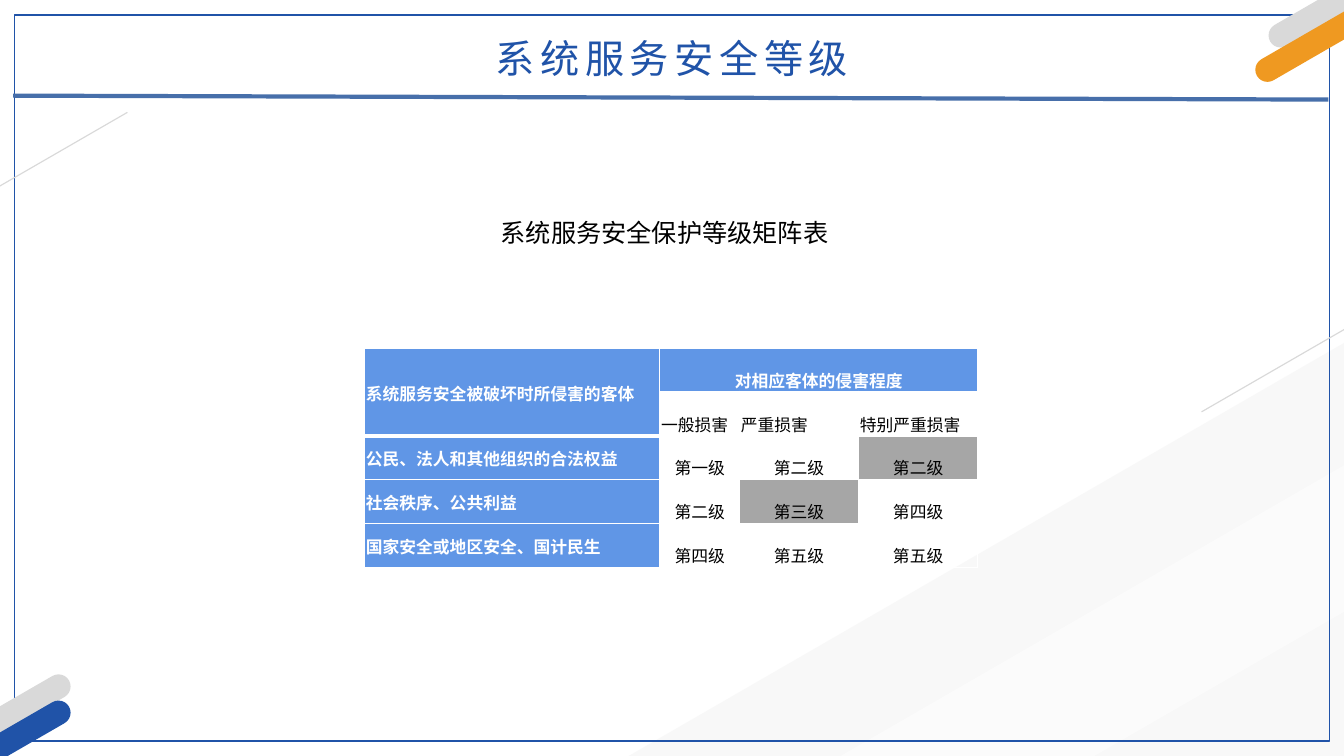
"""Build the slide with the security level matrix for system services."""
import lxml.etree
import pptx
import pptx.dml.color
import pptx.enum.shapes
import pptx.enum.text
import pptx.oxml.ns
import pptx.util

Cm = pptx.util.Cm
Pt = pptx.util.Pt
qn = pptx.oxml.ns.qn
Align = pptx.enum.text.PP_ALIGN
Anchor = pptx.enum.text.MSO_ANCHOR
Preset = pptx.enum.shapes.MSO_SHAPE

WHITE, BLACK, BLUE = "FFFFFF", "000000", "2053A8"
LIGHT_GREY, HEADER_BLUE, HIGHLIGHT = "D9D9D9", "6096E6", "A6A6A6"
CHINESE_FONT = "Noto Sans CJK SC"


def color(value):
    return pptx.dml.color.RGBColor.from_string(value)


def style_text(paragraph, size, font_name, text_color, bold=False, align=Align.LEFT):
    paragraph.alignment = align
    for run in paragraph.runs:
        run.font.size = Pt(size)
        run.font.bold = bold
        run.font.color.rgb = color(text_color)
        run.font.name = font_name
        lxml.etree.SubElement(run.font._element, qn("a:ea"), typeface=CHINESE_FONT)


presentation = pptx.Presentation()
presentation.slide_width = Cm(33.87)
presentation.slide_height = Cm(19.05)
slide = presentation.slides.add_slide(presentation.slide_layouts[5])

decorations = [
    ("band", -11.81, -2.29, 35.15, 3.2, WHITE),
    ("band", 8.43, 14.02, 35.15, 10.82, "F2F2F2"),
    ("band", 9.63, 15.82, 35.15, 3.2, WHITE),
    ("frame", 0.36, 0.38, 33.15, 18.29, BLUE),
    ("bar", 31.14, -2.51, 13, 0.61, LIGHT_GREY),
    ("bar", 30.58, -2.49, 16.38, 0.61, "EF9921"),
    ("bar", -12.07, 6.91, 16.38, 0.03, LIGHT_GREY),
    ("bar", -10.39, 20.09, 13, 0.61, LIGHT_GREY),
    ("bar", -10.39, 20.75, 13, 0.61, BLUE),
    ("bar", 29.18, 6.27, 16.38, 0.03, LIGHT_GREY),
]
for kind, left, top, width, height, shape_color in decorations:
    preset = Preset.RECTANGLE if kind == "frame" else Preset.ROUNDED_RECTANGLE
    shape = slide.shapes.add_shape(preset, Cm(left), Cm(top), Cm(width), Cm(height))
    shape.shadow.inherit = False
    if kind == "frame":
        shape.fill.background()
        shape.line.color.rgb = color(shape_color)
        shape.line.width = Pt(1)
        continue
    shape.adjustments[0] = 0.5
    shape.rotation = 330
    shape.fill.solid()
    shape.fill.fore_color.rgb = color(shape_color)
    shape.line.fill.background()
    if kind == "band":
        fill_color = shape._element.spPr.find(qn("a:solidFill"))[0]
        lxml.etree.SubElement(fill_color, qn("a:alpha"), val="49000")

title = slide.shapes.title
title.left, title.top, title.width, title.height = Cm(0), Cm(0.74), Cm(33.87), Cm(1.45)
title.text_frame.text = "系统服务安全等级"
title.text_frame.vertical_anchor = Anchor.MIDDLE
title_paragraph = title.text_frame.paragraphs[0]
style_text(title_paragraph, 28, CHINESE_FONT, BLUE, align=Align.CENTER)
title_paragraph.runs[0].font._element.set("spc", "400")

title_rule = slide.shapes.add_connector(
    pptx.enum.shapes.MSO_CONNECTOR.STRAIGHT, Cm(0.33), Cm(2.41), Cm(33.48), Cm(2.51))
title_rule.line.color.rgb = color("476FAA")
title_rule.line.width = Pt(3)
lxml.etree.SubElement(title_rule._element.spPr, qn("a:effectLst"))

caption = slide.shapes.add_textbox(Cm(12.37), Cm(5.36), Cm(9.09), Cm(1.02))
caption.text_frame.word_wrap = True
caption.text_frame.text = "系统服务安全保护等级矩阵表"
style_text(caption.text_frame.paragraphs[0], 18, "Times New Roman", BLACK)

matrix = [
    ["系统服务安全被破坏时所侵害的客体", "对相应客体的侵害程度", "", ""],
    ["", "一般损害", "严重损害", "特别严重损害"],
    ["公民、法人和其他组织的合法权益", "第一级", "第二级", "第二级"],
    ["社会秩序、公共利益", "第二级", "第三级", "第四级"],
    ["国家安全或地区安全、国计民生", "第四级", "第五级", "第五级"],
]
highlighted = {(2, 3), (3, 2)}
column_widths = [7.44, 2.01, 3, 3]
row_height = 1.1
table = slide.shapes.add_table(
    len(matrix), len(column_widths), Cm(9.19), Cm(8.79),
    Cm(sum(column_widths)), Cm(row_height * len(matrix))).table
table.first_row = False
table.horz_banding = False
for column, width in zip(table.columns, column_widths):
    column.width = Cm(width)
for row in table.rows:
    row.height = Cm(row_height)
table.cell(0, 0).merge(table.cell(1, 0))
table.cell(0, 1).merge(table.cell(0, 3))

for row_index, row_texts in enumerate(matrix):
    for column_index, cell_text in enumerate(row_texts):
        cell = table.cell(row_index, column_index)
        is_header = row_index == 0 or column_index == 0
        cell.margin_left = cell.margin_right = cell.margin_top = Cm(0.03)
        cell.margin_bottom = Cm(0)
        cell.vertical_anchor = Anchor.MIDDLE if column_index == 0 else Anchor.BOTTOM

        for side in ("lnL", "lnR", "lnT", "lnB"):
            points = 3 if row_index == 0 and side == "lnB" else 1
            border = lxml.etree.SubElement(
                cell._tc.get_or_add_tcPr(), qn(f"a:{side}"), w=str(Pt(points)))
            border_fill = lxml.etree.SubElement(border, qn("a:solidFill"))
            lxml.etree.SubElement(border_fill, qn("a:srgbClr"), val=WHITE)

        if is_header or (row_index, column_index) in highlighted:
            cell.fill.solid()
            cell.fill.fore_color.rgb = color(HEADER_BLUE if is_header else HIGHLIGHT)
        else:
            cell.fill.background()

        if cell_text:
            cell.text_frame.text = cell_text
            if column_index == 0:
                align = Align.JUSTIFY
            else:
                align = Align.LEFT if row_index == 1 else Align.CENTER
            style_text(cell.text_frame.paragraphs[0], 12, "Arial",
                       WHITE if is_header else BLACK, is_header, align)

presentation.save("out.pptx")
